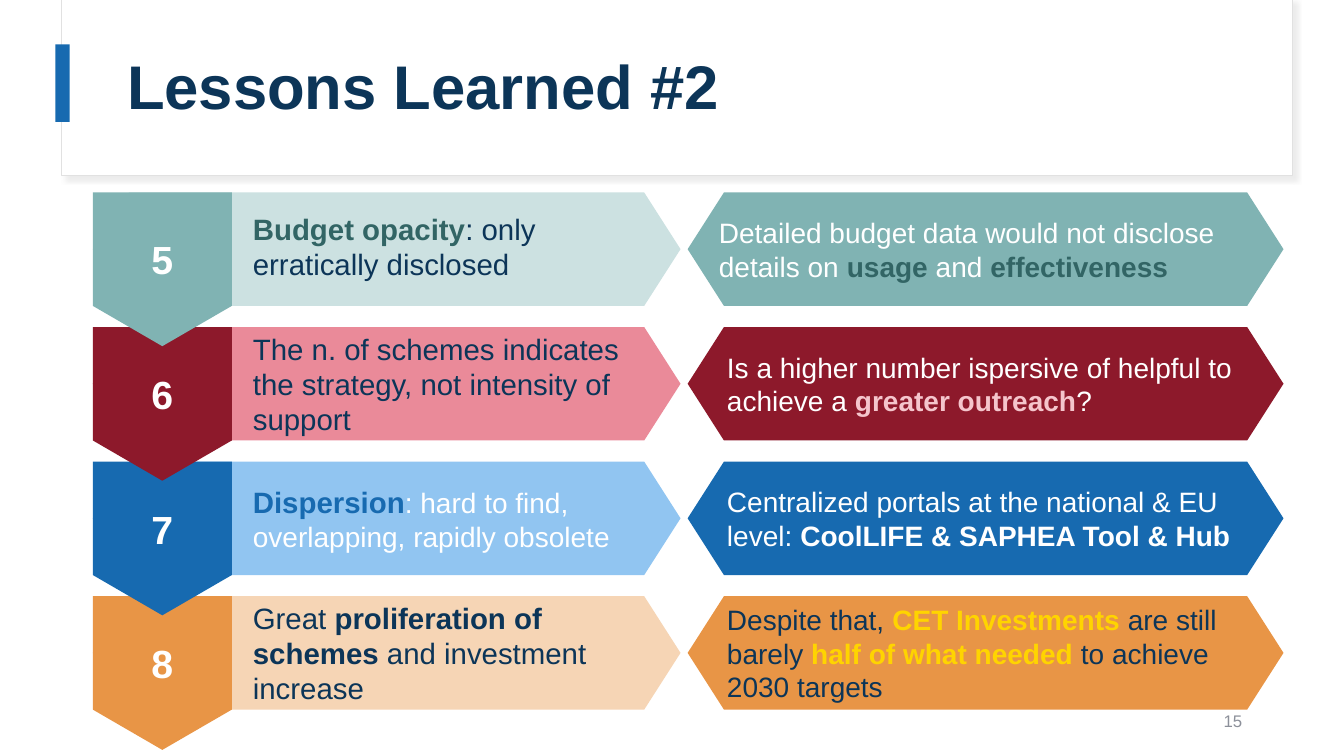
from dataclasses import dataclass

from lxml.etree import SubElement
from pptx import Presentation
from pptx.dml.color import RGBColor
from pptx.enum.shapes import MSO_SHAPE
from pptx.enum.text import MSO_ANCHOR, PP_ALIGN
from pptx.oxml.ns import qn
from pptx.util import Inches, Pt

NAVY = RGBColor(0x0C, 0x35, 0x58)
WHITE = RGBColor(0xFF, 0xFF, 0xFF)
TEAL = RGBColor(0x80, 0xB3, 0xB3)
PALE_TEAL = RGBColor(0xCC, 0xE1, 0xE1)
DARK_TEAL = RGBColor(0x32, 0x65, 0x65)
CRIMSON = RGBColor(0x8D, 0x19, 0x2B)
ROSE = RGBColor(0xEA, 0x8A, 0x99)
PINK = RGBColor(0xF5, 0xC5, 0xCC)
BLUE = RGBColor(0x17, 0x6A, 0xB0)
SKY = RGBColor(0x91, 0xC5, 0xF1)
ORANGE = RGBColor(0xE8, 0x95, 0x46)
PEACH = RGBColor(0xF6, 0xD5, 0xB5)
YELLOW = RGBColor(0xFF, 0xD4, 0x00)
FRAME_GREY = RGBColor(0xE1, 0xE1, 0xE1)
NUMBER_GREY = RGBColor(0x8C, 0x90, 0x9A)

# Grid in inches: four rows, a lesson column and a comment column
SLIDE_WIDTH, SLIDE_HEIGHT = 13.33, 7.5
FIRST_ROW, ROW_STEP, ROW_HEIGHT = 1.91, 1.335, 1.125
LESSON_LEFT, LESSON_WIDTH = 0.92, 5.83
COMMENT_LEFT, COMMENT_WIDTH = 6.82, 5.91
TAG_WIDTH, TAG_TIP, ARROW_TIP = 1.38, 0.4, 0.36
LABEL_LEFT, LABEL_WIDTH = 2.41, 4.13


@dataclass
class Lesson:
    number: str
    strong: RGBColor
    pale: RGBColor
    label: list    # runs: text, colour, bold, size
    comment: list
    label_lift: float = 0
    comment_inset: float = 0.39


LESSONS = [
    Lesson("5", TEAL, PALE_TEAL,
           [("Budget opacity", DARK_TEAL, True, 21),
            (": only erratically disclosed", NAVY, False, 21)],
           [("Detailed budget data would not disclose details on ", WHITE, False, 20),
            ("usage ", DARK_TEAL, True, 20),
            ("and ", WHITE, False, 20),
            ("effectiveness", DARK_TEAL, True, 20)],
           label_lift=0.03, comment_inset=0.31),
    Lesson("6", CRIMSON, ROSE,
           [("The n. of schemes indicates the strategy, not intensity of support",
             NAVY, False, 21)],
           [("Is a higher number ispersive of helpful to achieve a ", WHITE, False, 20),
            ("greater outreach", PINK, True, 20),
            ("?", WHITE, False, 20)]),
    Lesson("7", BLUE, SKY,
           [("Dispersion", BLUE, True, 21),
            (": hard to find, overlapping, rapidly obsolete", WHITE, False, 20)],
           [("Centralized portals at the national & EU level: ", WHITE, False, 20),
            ("CoolLIFE & SAPHEA Tool & Hub", WHITE, True, 20)]),
    Lesson("8", ORANGE, PEACH,
           [("Great ", NAVY, False, 21),
            ("proliferation of schemes ", NAVY, True, 21),
            ("and investment increase", NAVY, False, 21)],
           [("Despite that, ", NAVY, False, 20),
            ("CET Investments ", YELLOW, True, 20),
            ("are still barely ", NAVY, False, 20),
            ("half of what needed ", YELLOW, True, 20),
            ("to achieve 2030 targets", NAVY, False, 20)]),
]


def write_text(shape, runs, alignment=PP_ALIGN.LEFT, insets=(0.1, 0.1, 0.1, 0.1)):
    """Fill a shape with one paragraph; insets are left, top, right, bottom."""
    frame = shape.text_frame
    frame.word_wrap = True
    frame.vertical_anchor = MSO_ANCHOR.MIDDLE
    (frame.margin_left, frame.margin_top,
     frame.margin_right, frame.margin_bottom) = map(Inches, insets)
    paragraph = frame.paragraphs[0]
    paragraph.alignment = alignment
    for text, color, bold, size in runs:
        run = paragraph.add_run()
        run.text = text
        run.font.name = "Arial"
        run.font.size = Pt(size)
        run.font.bold = bold
        run.font.color.rgb = color
    return paragraph


def paint(shape, color):
    shape.shadow.inherit = False
    shape.fill.solid()
    shape.fill.fore_color.rgb = color
    shape.line.fill.background()
    return shape


def add_rectangle(slide, left, top, width, height, color):
    return paint(slide.shapes.add_shape(
        MSO_SHAPE.RECTANGLE, *map(Inches, (left, top, width, height))), color)


def add_outline(slide, points, color):
    corners = [(Inches(x), Inches(y)) for x, y in points]
    builder = slide.shapes.build_freeform(*corners[0])
    builder.add_line_segments(corners[1:], close=True)
    return paint(builder.convert_to_shape(), color)


def add_double_arrow(slide, left, top, width, color):
    right, middle, bottom = left + width, top + ROW_HEIGHT / 2, top + ROW_HEIGHT
    return add_outline(slide, [
        (left + ARROW_TIP, top), (left, middle), (left + ARROW_TIP, bottom),
        (right - ARROW_TIP, bottom), (right, middle), (right - ARROW_TIP, top)], color)


def add_number_tag(slide, top, number, color):
    left, right, bottom = LESSON_LEFT, LESSON_LEFT + TAG_WIDTH, top + ROW_HEIGHT
    tag = add_outline(slide, [
        (left, top), (left, bottom), (left + TAG_WIDTH / 2, bottom + TAG_TIP),
        (right, bottom), (right, top)], color)
    write_text(tag, [(number, WHITE, True, 28)], PP_ALIGN.CENTER, (0.1, 0.1, 0.1, 0.3))


def add_text_box(slide, left, top, width, height, runs, alignment=PP_ALIGN.LEFT):
    box = slide.shapes.add_textbox(*map(Inches, (left, top, width, height)))
    write_text(box, runs, alignment)


def add_soft_shadow(shape):
    effects = shape._element.spPr.find(qn("a:effectLst"))
    shadow = SubElement(effects, qn("a:outerShdw"), blurRad=str(Pt(4)),
                        dist=str(Pt(3)), dir="2700000", algn="tl", rotWithShape="0")
    color = SubElement(shadow, qn("a:srgbClr"), val="D9D9D9")
    SubElement(color, qn("a:alpha"), val="50000")


def add_header(slide):
    panel = add_rectangle(slide, 0.61, 0, 12.21, 1.74, WHITE)
    panel.line.color.rgb = FRAME_GREY
    panel.line.width = Pt(0.75)
    add_soft_shadow(panel)
    add_rectangle(slide, 0.55, 0.44, 0.14, 0.77, BLUE)

    title = slide.shapes.title
    title.left, title.top, title.width, title.height = map(
        Inches, (1.16, 0.24, 11.12, 1.29))
    paragraph = write_text(title, [("Lessons Learned #2", NAVY, True, 44)])
    paragraph.line_spacing = 0.9
    # Bring the title in front of the panel
    slide.shapes._spTree.append(title._element)


def add_lesson(slide, row, lesson):
    top = FIRST_ROW + row * ROW_STEP
    add_double_arrow(slide, LESSON_LEFT, top, LESSON_WIDTH, lesson.pale)
    add_number_tag(slide, top, lesson.number, lesson.strong)
    add_text_box(slide, LABEL_LEFT, top - lesson.label_lift, LABEL_WIDTH, ROW_HEIGHT,
                 lesson.label)
    comment = add_double_arrow(slide, COMMENT_LEFT, top, COMMENT_WIDTH, lesson.strong)
    inset = lesson.comment_inset
    write_text(comment, lesson.comment, insets=(inset, 0.1, inset, 0.1))


def main():
    presentation = Presentation()
    presentation.slide_width = Inches(SLIDE_WIDTH)
    presentation.slide_height = Inches(SLIDE_HEIGHT)
    slide = presentation.slides.add_slide(presentation.slide_layouts[5])

    add_header(slide)
    # Bottom row first, so that each tag's tip lies over the row below
    for row, lesson in reversed(list(enumerate(LESSONS))):
        add_lesson(slide, row, lesson)
    # Slide number
    add_text_box(slide, 9.42, 6.95, 3, 0.4, [("15", NUMBER_GREY, False, 12)],
                 PP_ALIGN.RIGHT)
    presentation.save("out.pptx")


if __name__ == "__main__":
    main()
